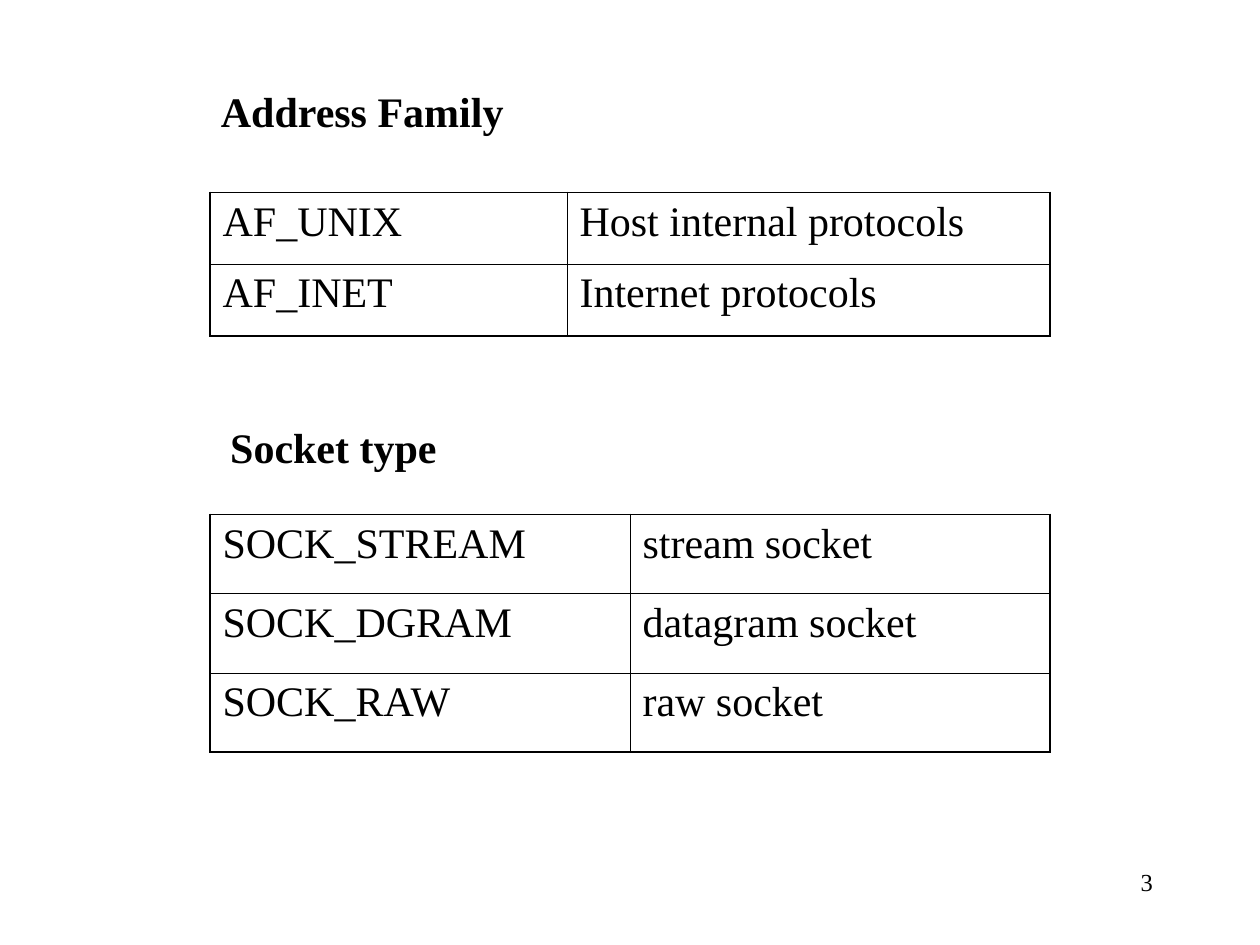
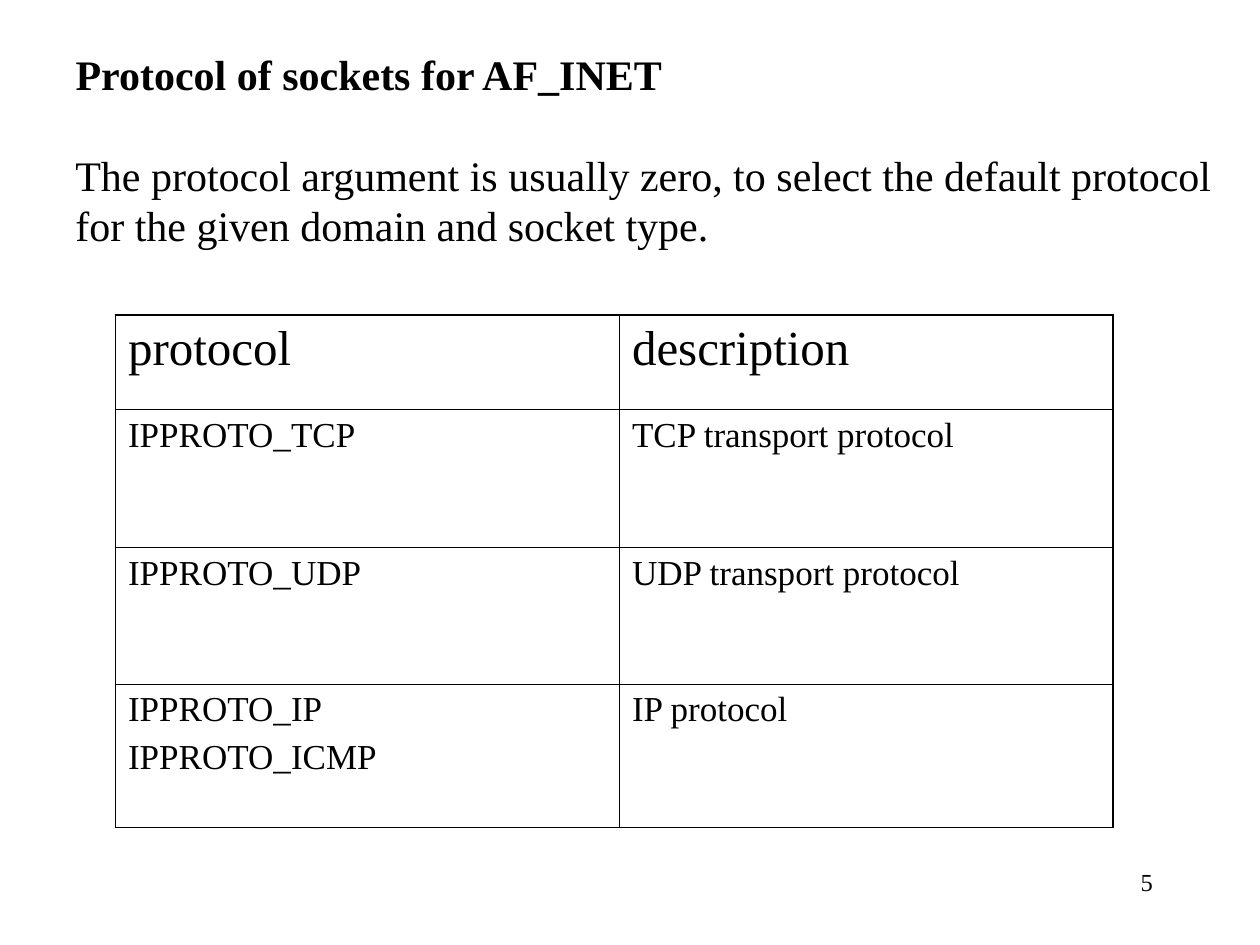
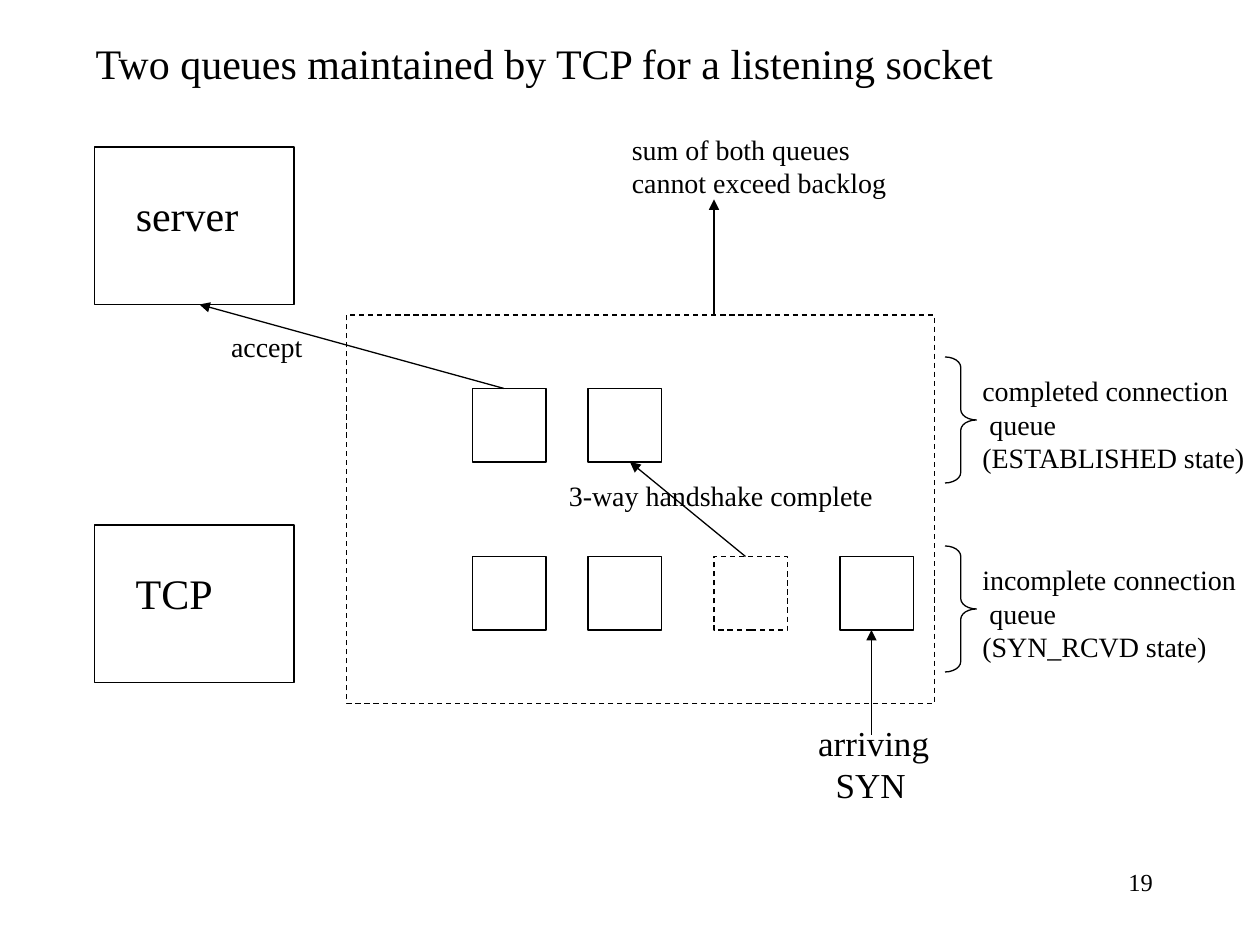
from lxml.etree import SubElement
from pptx import Presentation
from pptx.dml.color import RGBColor
from pptx.enum.dml import MSO_LINE
from pptx.enum.shapes import MSO_CONNECTOR, MSO_SHAPE
from pptx.enum.text import MSO_ANCHOR, MSO_AUTO_SIZE, PP_ALIGN
from pptx.oxml.ns import qn
from pptx.util import Pt

COLORS = {"ink": "000000", "paper": "FFFFFF"}
FONT = "Times New Roman"
LINE_WIDTH = 0.75
OUTER_BORDER, INNER_BORDER = 1.08, 0.45
LINE_PITCH = 1.2


def color(name):
    return RGBColor.from_string(COLORS[name])


def write_text(frame, text, size=24, bold=False, align=PP_ALIGN.LEFT,
               pitch=None, before=0, indents=None):
    """Fill a text frame, one paragraph a line; indents maps line index to points."""
    frame.text = text
    for index, paragraph in enumerate(frame.paragraphs):
        paragraph.alignment = align
        paragraph.space_before = Pt(before)
        if pitch:
            paragraph.line_spacing = Pt(size * pitch)
        if indents and index in indents:
            paragraph._p.get_or_add_pPr().set("marL", str(Pt(indents[index])))
        for run in paragraph.runs:
            run.font.name = FONT
            run.font.size = Pt(size)
            run.font.bold = bold
            run.font.color.rgb = color("ink")


class Deck:
    """Holds the shared style and the slide being built."""

    def __init__(self):
        self.presentation = Presentation()
        self.presentation.slide_width = Pt(720)
        self.presentation.slide_height = Pt(540)
        self.slide = None

    def add_slide(self, title, left, top, width, number, bold=True):
        self.slide = self.presentation.slides.add_slide(
            self.presentation.slide_layouts.get_by_name("Title Only"))
        self.slide.background.fill.solid()
        self.slide.background.fill.fore_color.rgb = color("paper")
        heading = self.slide.shapes.title
        heading.left, heading.top = Pt(left), Pt(top)
        heading.width, heading.height = Pt(width), Pt(36)
        self.format_frame(heading.text_frame)
        write_text(heading.text_frame, title, bold=bold, pitch=LINE_PITCH)
        self.add_text(str(number), 516, 492, 150, 36, size=14, align=PP_ALIGN.RIGHT, wrap=True)

    def format_frame(self, frame, wrap=False):
        frame.word_wrap = wrap
        frame.auto_size = MSO_AUTO_SIZE.NONE
        frame.vertical_anchor = MSO_ANCHOR.TOP

    def add_text(self, text, left, top, width, height, wrap=False, **text_format):
        box = self.slide.shapes.add_textbox(Pt(left), Pt(top), Pt(width), Pt(height))
        self.format_frame(box.text_frame, wrap)
        write_text(box.text_frame, text, pitch=LINE_PITCH, **text_format)

    def add_outline(self, left, top, width, height, kind=MSO_SHAPE.RECTANGLE, dashed=False):
        shape = self.slide.shapes.add_shape(kind, Pt(left), Pt(top), Pt(width), Pt(height))
        shape.shadow.inherit = False
        shape.fill.background()
        self.format_line(shape.line)
        if dashed:
            shape.line.dash_style = MSO_LINE.DASH
        return shape

    def add_arrow(self, *ends):
        connector = self.slide.shapes.add_connector(
            MSO_CONNECTOR.STRAIGHT, *(Pt(value) for value in ends))
        self.format_line(connector.line)
        SubElement(connector.line._get_or_add_ln(), qn("a:tailEnd"), type="triangle")
        SubElement(connector._element.spPr, qn("a:effectLst"))

    def format_line(self, line):
        line.color.rgb = color("ink")
        line.width = Pt(LINE_WIDTH)

    def add_table(self, rows, left, top, widths, heights, sizes, befores):
        """Draw a ruled table; sizes and befores give text size and spacing by row."""
        table = self.slide.shapes.add_table(
            len(rows), len(widths), Pt(left), Pt(top),
            Pt(sum(widths)), Pt(sum(heights))).table
        table.first_row = table.horz_banding = False
        for column, width in zip(table.columns, widths):
            column.width = Pt(width)
        for row_index, texts in enumerate(rows):
            table.rows[row_index].height = Pt(heights[row_index])
            for column_index, text in enumerate(texts):
                cell = table.cell(row_index, column_index)
                write_text(cell.text_frame, text, size=sizes[row_index],
                           before=befores[row_index])
                self.add_borders(cell, {
                    "lnL": column_index == 0,
                    "lnR": column_index == len(widths) - 1,
                    "lnT": row_index == 0,
                    "lnB": row_index == len(rows) - 1,
                })
                cell.fill.background()

    def add_borders(self, cell, outer_edges):
        properties = cell._tc.get_or_add_tcPr()
        for edge, is_outer in outer_edges.items():
            width = OUTER_BORDER if is_outer else INNER_BORDER
            border = SubElement(properties, qn(f"a:{edge}"), w=str(Pt(width)))
            fill = SubElement(border, qn("a:solidFill"))
            SubElement(fill, qn("a:srgbClr"), val=COLORS["ink"])


def build_address_families(deck):
    deck.add_slide("Address Family", 119, 45, 176, number=3)
    deck.add_table([["AF_UNIX", "Host internal protocols"],
                    ["AF_INET", "Internet protocols"]],
                   120, 110, [204, 276], [41] * 2, [24] * 2, [6] * 2)
    deck.add_text("Socket type", 124.5, 237.5, 132.5, 36, bold=True)
    deck.add_table([["SOCK_STREAM", "stream socket"],
                    ["SOCK_DGRAM", "datagram socket"],
                    ["SOCK_RAW", "raw socket"]],
                   120, 294, [240, 240], [45.3] * 3, [24] * 3, [6] * 3)


def build_protocols(deck):
    deck.add_slide("Protocol of sockets for AF_INET", 36, 24, 350, number=5)
    deck.add_text("The protocol argument is usually zero, to select the default protocol\n"
                  "for the given domain and socket type.", 36, 81.6, 664, 65)
    deck.add_table([["protocol", "description"],
                    ["IPPROTO_TCP", "TCP transport protocol"],
                    ["IPPROTO_UDP", "UDP transport protocol"],
                    ["IPPROTO_IP\nIPPROTO_ICMP", "IP protocol"]],
                   66, 180, [288, 282], [54, 79, 78, 82], [28, 20, 20, 20], [7, 5, 5, 5])


def build_listening_queues(deck):
    deck.add_slide("Two queues maintained by TCP for a listening socket",
                   47.5, 18, 530, number=19, bold=False)

    for name, top, width in (("server", 84, 73), ("TCP", 300, 58)):
        deck.add_outline(54, top, 114, 90)
        deck.add_text(name, 70.5, top + 21, width, 36)

    deck.add_outline(198, 180, 336, 222, dashed=True)
    completed_top, incomplete_top, entry = 222, 318, 42
    leaving_left = 408
    for top, lefts in ((completed_top, (270, 336)),
                       (incomplete_top, (270, 336, leaving_left, 480))):
        for left in lefts:
            deck.add_outline(left, top, entry, entry, dashed=left == leaving_left)

    for top, width, text in (
            (204, 166, "completed connection\nqueue\n(ESTABLISHED state)"),
            (312, 159, "incomplete connection\nqueue\n(SYN_RCVD state)")):
        brace = deck.add_outline(540, top, 18, 72, kind=MSO_SHAPE.RIGHT_BRACE)
        brace.adjustments[0] = 0.33
        deck.add_text(text, 554.3, top + 6, width, 65, size=16, indents={1: 4})

    deck.add_arrow(288, completed_top, 114, 174)
    deck.add_arrow(426, incomplete_top, 360, completed_top + entry)
    deck.add_arrow(498, 420, 498, incomplete_top + entry)
    deck.add_arrow(408, 180, 408, 114)

    deck.add_text("sum of both queues\ncannot exceed backlog", 354, 72, 160, 46, size=16)
    deck.add_text("accept", 125, 185, 55, 27, size=16)
    deck.add_text("3-way handshake complete", 318, 270, 188, 27, size=16)
    deck.add_text("arriving\nSYN", 460.5, 409, 78, 55.5, size=20, indents={1: 10})


def main():
    deck = Deck()
    build_address_families(deck)
    build_protocols(deck)
    build_listening_queues(deck)
    deck.presentation.save("out.pptx")


if __name__ == "__main__":
    main()
